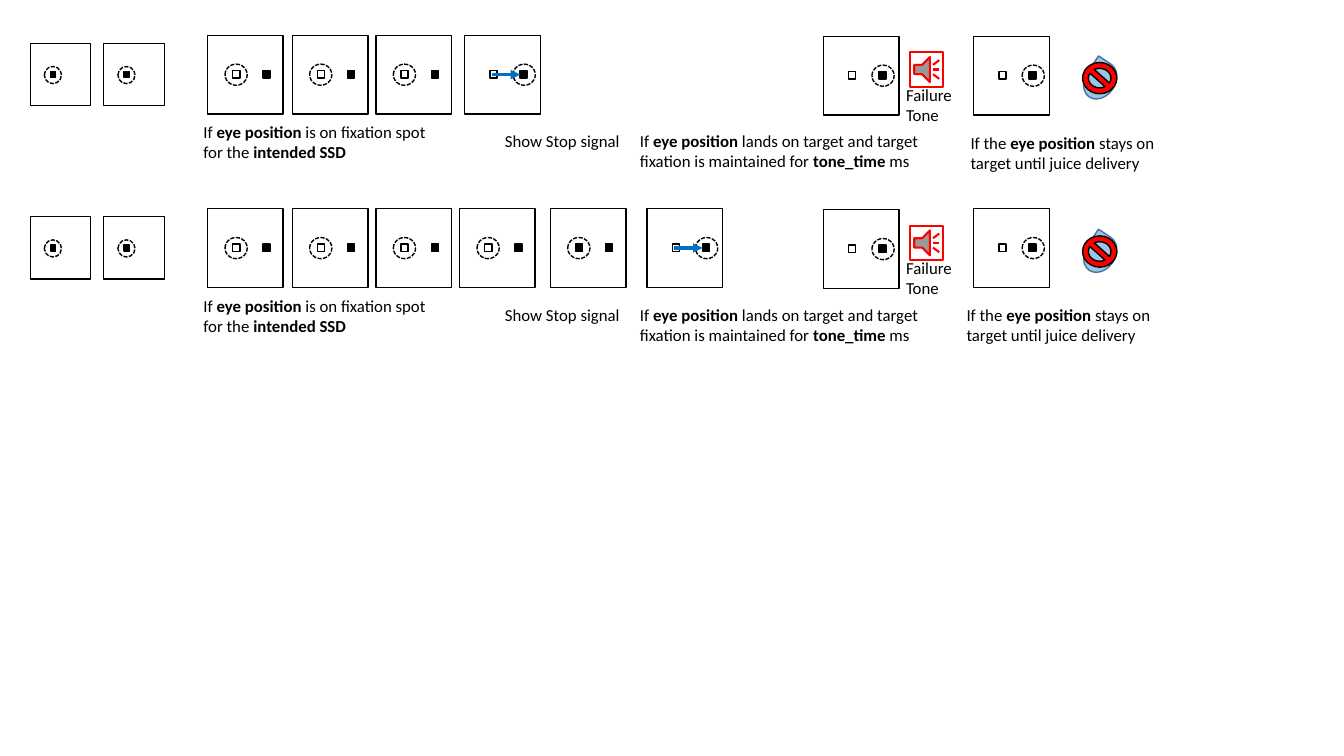
from dataclasses import dataclass
from typing import Optional

from lxml.etree import SubElement
from pptx import Presentation
from pptx.dml.color import RGBColor
from pptx.enum.dml import MSO_LINE_DASH_STYLE as Dash
from pptx.enum.shapes import MSO_CONNECTOR as Conn, MSO_SHAPE as Geo
from pptx.enum.text import MSO_AUTO_SIZE as AutoSize
from pptx.oxml.ns import qn
from pptx.util import Pt

COLORS = {
    "white": "FFFFFF", "black": "000000", "red": "FF0000",
    "arrow": "0070C0", "drop": "9DC3E6", "drop_edge": "43739E",
}
ROW_PITCH = 123.84
SPOT = 5.04
EYE_ON_FIXATION, EYE_ON_TARGET = 12.4, 34.6


@dataclass(frozen=True)
class Panel:
    x: float
    y: float = 25.2
    eye_x: float = EYE_ON_FIXATION
    spot_fill: str = "white"
    saccade: bool = False


@dataclass(frozen=True)
class Caption:
    text: str  # ** marks the start and end of bold
    x: float
    y: float
    w: float
    h: float = 36.35


@dataclass(frozen=True)
class Trial:
    panels: tuple[Panel, ...]
    juice_caption_x: float


def rgb(name: str) -> RGBColor:
    return RGBColor.from_string(COLORS[name])


def add_geo(shapes, geo, x: float, y: float, w: float, h: float, *,
            fill: Optional[str] = "white", line: str = "black",
            weight: float = 1, dashed: bool = False, rotation: float = 0):
    sp = shapes.add_shape(geo, Pt(x), Pt(y), Pt(w), Pt(h))
    sp.shadow.inherit = False
    sp.rotation = rotation
    if fill:
        sp.fill.solid()
        sp.fill.fore_color.rgb = rgb(fill)
    else:
        sp.fill.background()
    sp.line.color.rgb = rgb(line)
    sp.line.width = Pt(weight)
    if dashed:
        sp.line.dash_style = Dash.SQUARE_DOT
    return sp


def add_arrow(shapes, x1: float, x2: float, y: float) -> None:
    cxn = shapes.add_connector(Conn.STRAIGHT, Pt(x1), Pt(y), Pt(x2), Pt(y))
    cxn.line.color.rgb = rgb("arrow")
    cxn.line.width = Pt(2.25)
    sp_pr = cxn._element.spPr
    SubElement(sp_pr.find(qn("a:ln")), qn("a:tailEnd"), type="triangle")
    SubElement(sp_pr, qn("a:effectLst"))


def add_text(shapes, text: str, x: float, y: float, w: float, h: float, *,
             size: float = 12, font: str = "Calibri", color: str = "black") -> None:
    tf = shapes.add_textbox(Pt(x), Pt(y), Pt(w), Pt(h)).text_frame
    tf.word_wrap = True
    tf.auto_size = AutoSize.SHAPE_TO_FIT_TEXT
    p = tf.paragraphs[0]
    for i, part in enumerate(text.split("**")):
        if not part:
            continue
        r = p.add_run()
        r.text = part
        r.font.size = Pt(size)
        r.font.name = font
        r.font.bold = i % 2 == 1
        r.font.color.rgb = rgb(color)


def add_panel(shapes, panel: Panel, dy: float) -> None:
    """Screen with fixation spot, target and eye position."""
    group = shapes.add_group_shape().shapes
    x, y = panel.x, panel.y + dy
    add_geo(group, Geo.RECTANGLE, x, y, 54, 56.16)
    for dx, fill in ((18, panel.spot_fill), (39.6, "black")):
        add_geo(group, Geo.RECTANGLE, x + dx, y + 25.4, SPOT, SPOT, fill=fill)
    add_geo(group, Geo.OVAL, x + panel.eye_x, y + 20.6, 15.84, 15.12,
            fill=None, dashed=True)
    if panel.saccade:
        add_arrow(group, x + 19.44, x + 39.6, y + 28.08)


def add_fixation_screen(shapes, x: float, dy: float) -> None:
    group = shapes.add_group_shape().shapes
    add_geo(group, Geo.RECTANGLE, x, 30.96 + dy, 43.2, 44.64)
    add_geo(group, Geo.RECTANGLE, x + 14.4, 51.12 + dy, 3.8, 4.3, fill="black")
    add_geo(group, Geo.OVAL, x + 10.08, 47.52 + dy, 12.24, 12.24,
            fill=None, dashed=True)


def add_no_juice(shapes, dy: float) -> None:
    group = shapes.add_group_shape().shapes
    add_geo(group, Geo.TEAR, 771.84, 46.8 + dy, 28.08, 21.6,
            fill="drop", line="drop_edge", rotation=303.7)
    add_geo(group, Geo.NO_SYMBOL, 773.28, 44.64 + dy, 24.48, 22.32, fill="red")


WAITING = (Panel(148.32), Panel(208.8), Panel(268.56))
TONE = Panel(588.24, 25.92, EYE_ON_TARGET)
JUICE_X = 695.52

TRIALS = (
    Trial((*WAITING, Panel(331.92, eye_x=EYE_ON_TARGET, saccade=True), TONE,
           Panel(JUICE_X, 25.92, EYE_ON_TARGET)), 686.16),
    Trial((*WAITING, Panel(328.32), Panel(393.12, spot_fill="black"),
           Panel(462.24, eye_x=EYE_ON_TARGET, saccade=True), TONE,
           Panel(JUICE_X, eye_x=EYE_ON_TARGET)), 683.28),
)
CAPTIONS = (
    Caption("If **eye position** is on fixation spot for the **intended SSD**",
            138.24, 83.52, 177.12),
    Caption("Show Stop signal", 353.52, 90, 109.44, 21.8),
    Caption("If **eye position **lands on target and target fixation is "
            "maintained for **tone_time **ms", 450, 90, 217.44),
    Caption("Failure Tone", 640.08, 56.88, 58.32),
)
JUICE_TEXT = "If the **eye position** stays on target until juice delivery"
JUICE_TOPS = (91.44, 90)


def main() -> None:
    prs = Presentation()
    prs.slide_width, prs.slide_height = Pt(960), Pt(540)
    shapes = prs.slides.add_slide(prs.slide_layouts[6]).shapes

    for row, (trial, juice_top) in enumerate(zip(TRIALS, JUICE_TOPS)):
        dy = row * ROW_PITCH
        # Screens
        for x in (21.6, 74.16):
            add_fixation_screen(shapes, x, dy)
        for panel in trial.panels:
            add_panel(shapes, panel, dy)
        # Outcome symbols
        add_no_juice(shapes, dy)
        add_geo(shapes, Geo.ACTION_BUTTON_SOUND, 650.16, 37.44 + dy,
                23.76, 24.48, line="red", weight=1.5)
        # Captions
        juice = Caption(JUICE_TEXT, trial.juice_caption_x, juice_top, 171.36)
        for c in (*CAPTIONS, juice):
            add_text(shapes, c.text, c.x, c.y + dy, c.w, c.h)

    prs.save("out.pptx")


if __name__ == "__main__":
    main()
